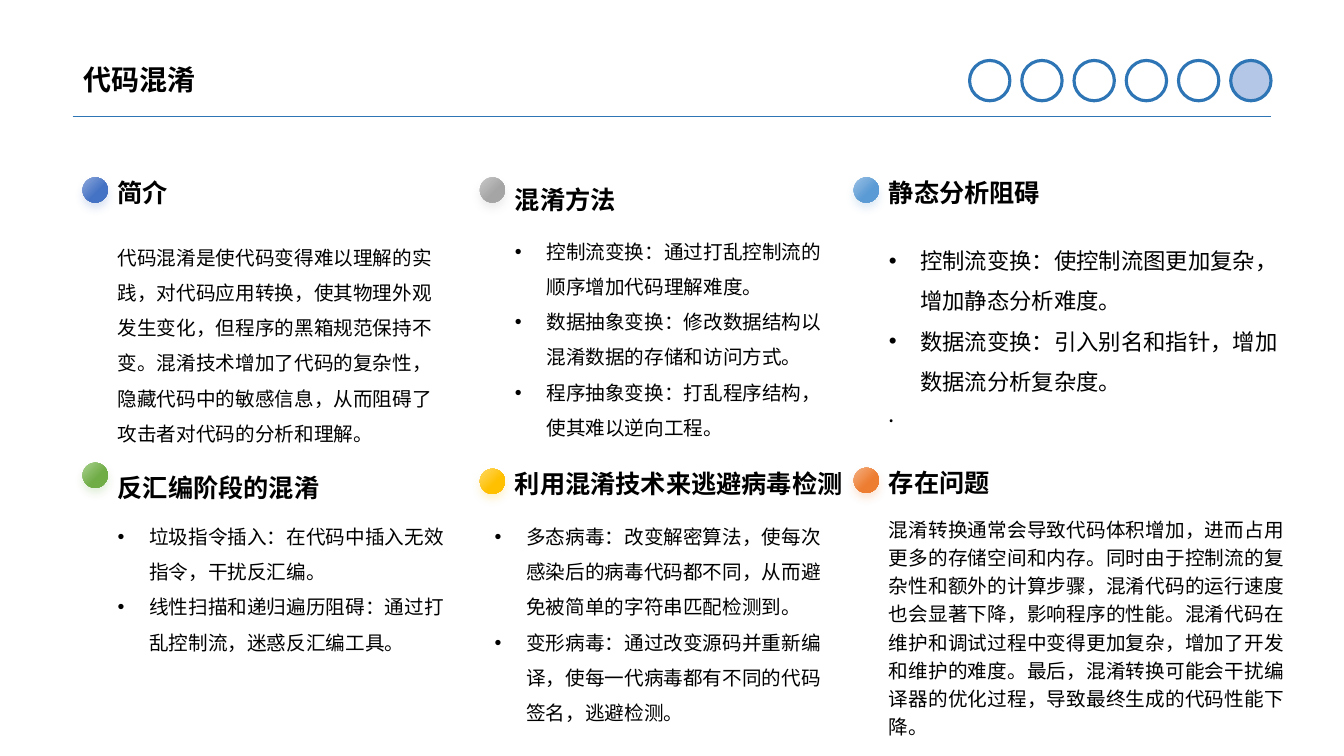
from lxml import etree
from pptx import Presentation
from pptx import util as u
from pptx.dml.color import RGBColor
from pptx.enum import shapes, text
from pptx.oxml import ns

BLACK = RGBColor(0, 0, 0)
BLUE = RGBColor(0x2E, 0x75, 0xB6)
PALE = RGBColor(0xB4, 0xC7, 0xE7)
HAN = "Noto Sans CJK SC"
LATIN = "Arial"
DOT = 18

# Dots: left, top, light colour, main colour
DOTS = [
    (59, 126.7, RGBColor(0x8F, 0xAA, 0xDC), RGBColor(0x44, 0x72, 0xC4)),
    (59, 330.5, RGBColor(0xA9, 0xD1, 0x8E), RGBColor(0x70, 0xAD, 0x47)),
    (342.7, 126.7, RGBColor(0xC9, 0xC9, 0xC9), RGBColor(0xA5, 0xA5, 0xA5)),
    (342.7, 334.8, RGBColor(0xFF, 0xD9, 0x66), RGBColor(0xFF, 0xC0, 0x00)),
    (609.8, 126.7, RGBColor(0x9D, 0xC3, 0xE6), RGBColor(0x5B, 0x9B, 0xD5)),
    (609.8, 334.1, RGBColor(0xF4, 0xB1, 0x83), RGBColor(0xED, 0x7D, 0x31)),
]

# Heads: box, words, format
HEADS = [
    ((77, 118.8, 251.3, 33.1), "简介", dict(font=HAN)),
    ((77, 323.3, 251.3, 39.6), "反汇编阶段的混淆", dict(space=1.5)),
    ((360.7, 117.4, 251.3, 39.6), "混淆方法", dict(space=1.5)),
    ((360.7, 326.9, 251.3, 43.9), "利用混淆技术来逃避病毒检测", dict(grow=False)),
    ((627.8, 118.8, 251.3, 59.8), "静态分析阻碍", {}),
    ((627.8, 326.2, 251.3, 33.1), "存在问题", dict(font=HAN)),
]

# Bodies: box, paragraphs, format
BODIES = [
    ((77, 163.4, 251.3, 159.8),
     ["代码混淆是使代码变得难以理解的实践，对代码应用转换，使其物理外观发生变化，"
      "但程序的黑箱规范保持不变。混淆技术增加了代码的复杂性，隐藏代码中的敏感信息，"
      "从而阻碍了攻击者对代码的分析和理解。"], {}),
    ((77, 362.9, 251.3, 108.7),
     ["垃圾指令插入：在代码中插入无效指令，干扰反汇编。",
      "线性扫描和递归遍历阻碍：通过打乱控制流，迷惑反汇编工具。"],
     dict(bullet=True)),
    ((360.7, 159.1, 234.7, 159.8),
     ["控制流变换：通过打乱控制流的顺序增加代码理解难度。",
      "数据抽象变换：修改数据结构以混淆数据的存储和访问方式。",
      "程序抽象变换：打乱程序结构，使其难以逆向工程。"],
     dict(bullet=True)),
    ((346.3, 362.9, 257.8, 159.8),
     ["多态病毒：改变解密算法，使每次感染后的病毒代码都不同，从而避免被简单的字符串匹配检测到。",
      "变形病毒：通过改变源码并重新编译，使每一代病毒都有不同的代码签名，逃避检测。"],
     dict(bullet=True)),
    ((627.8, 163.4, 296.6, 146.9),
     ["控制流变换：使控制流图更加复杂，增加静态分析难度。",
      "数据流变换：引入别名和指针，增加数据流分析复杂度。"],
     dict(bullet=True, size=16)),
    ((627.8, 362.9, 296.6, 169.9),
     ["混淆转换通常会导致代码体积增加，进而占用更多的存储空间和内存。"
      "同时由于控制流的复杂性和额外的计算步骤，混淆代码的运行速度也会显著下降，影响程序的性能。"
      "混淆代码在维护和调试过程中变得更加复杂，增加了开发和维护的难度。"
      "最后，混淆转换可能会干扰编译器的优化过程，导致最终生成的代码性能下降。"],
     dict(font=HAN, space=1.2, justify=True)),
]


def child(node, tag, **attrs):
    return etree.SubElement(node, ns.qn(tag), attrs)


def write(para, words, size=14, font=LATIN, bold=False, space=1.5,
          bullet=False, justify=False):
    para.line_spacing = space
    if justify:
        para.alignment = text.PP_ALIGN.JUSTIFY
    if bullet:
        props = para._p.get_or_add_pPr()
        indent = u.Pt(22.5)
        props.set("marL", str(indent))
        props.set("indent", str(-indent))
        child(props, "a:buFont", typeface=LATIN)
        child(props, "a:buChar", char="•")
    run = para.add_run()
    run.text = words
    run.font.size = u.Pt(size)
    run.font.bold = bold
    run.font.color.rgb = BLACK
    run.font.name = font
    child(run._r.get_or_add_rPr(), "a:ea", typeface=HAN)


class Deck:
    def __init__(self):
        self.show = Presentation()
        self.show.slide_width = u.Pt(960)
        self.show.slide_height = u.Pt(540)
        self.page = self.show.slides.add_slide(self.show.slide_layouts[6])

    def rule(self, x1, x2, y):
        line = self.page.shapes.add_connector(
            shapes.MSO_CONNECTOR.STRAIGHT, u.Pt(x1), u.Pt(y), u.Pt(x2), u.Pt(y))
        line.line.color.rgb = BLUE
        line.line.width = u.Pt(0.5)
        child(line._element.spPr, "a:effectLst")

    def disc(self, x, y, size):
        disc = self.page.shapes.add_shape(
            shapes.MSO_SHAPE.OVAL, u.Pt(x), u.Pt(y), u.Pt(size), u.Pt(size))
        disc.shadow.inherit = False
        return disc

    def ring(self, x, y, size, fill=None):
        ring = self.disc(x, y, size)
        ring.line.color.rgb = BLUE
        ring.line.width = u.Pt(2.25)
        if fill is None:
            ring.fill.background()
        else:
            ring.fill.solid()
            ring.fill.fore_color.rgb = fill

    def dot(self, x, y, light, main):
        """Draw a shaded heading marker with a soft shadow in its own colour."""
        dot = self.disc(x, y, DOT)
        dot.line.fill.background()
        dot.fill.gradient()
        dot.fill.gradient_angle = 315
        for stop, color, place in zip(dot.fill.gradient_stops, (light, main), (0, 0.6)):
            stop.color.rgb = color
            stop.position = place
        effects = dot._element.spPr.find(ns.qn("a:effectLst"))
        shade = child(effects, "a:outerShdw", blurRad=str(u.Pt(6)),
                      dist=str(u.Pt(4)), dir="5400000", rotWithShape="0")
        child(child(shade, "a:srgbClr", val=str(main)), "a:alpha", val="20000")

    def text(self, box, lines, grow=True, middle=False, **style):
        frame = self.page.shapes.add_textbox(*map(u.Pt, box)).text_frame
        frame.word_wrap = True
        if grow:
            frame.auto_size = text.MSO_AUTO_SIZE.SHAPE_TO_FIT_TEXT
        if middle:
            frame.vertical_anchor = text.MSO_ANCHOR.MIDDLE
        for i, words in enumerate(lines):
            para = frame.add_paragraph() if i else frame.paragraphs[0]
            write(para, words, **style)
        return frame


def main():
    deck = Deck()
    deck.rule(51.8, 907.9, 83.2)
    deck.text((52.6, 32.4, 854.6, 51.1), ["代码混淆"], grow=False, middle=True,
              size=20, font=HAN, bold=True, space=0.9)
    count = 6
    for i in range(count):
        deck.ring(692.6 + 37.3 * i, 43.2, 28.8, PALE if i == count - 1 else None)
    for spot in DOTS:
        deck.dot(*spot)
    for box, words, style in HEADS:
        deck.text(box, [words], **{"size": 18, "bold": True, "space": 1.2, **style})
    frames = [deck.text(box, lines, **style) for box, lines, style in BODIES]
    write(frames[4].add_paragraph(), ".", size=16, font=HAN, space=1.2, justify=True)
    deck.show.save("out.pptx")


if __name__ == "__main__":
    main()
